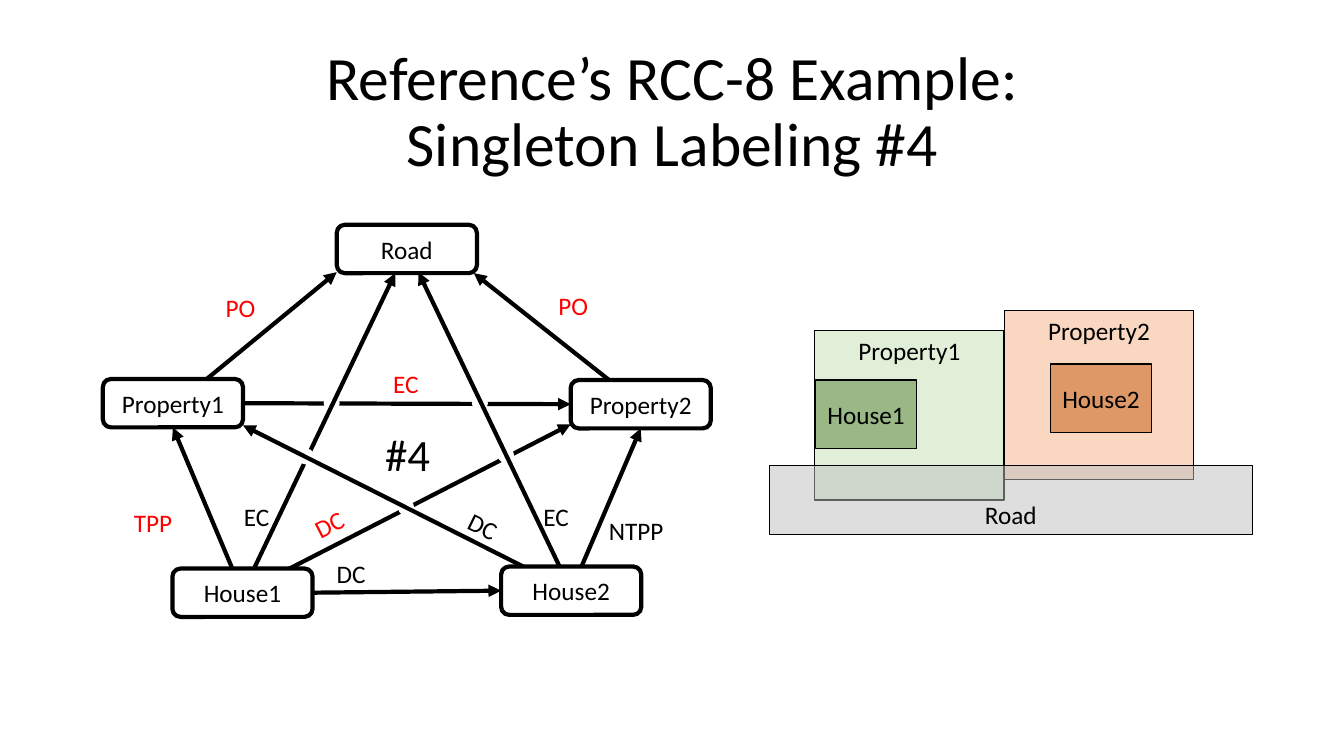
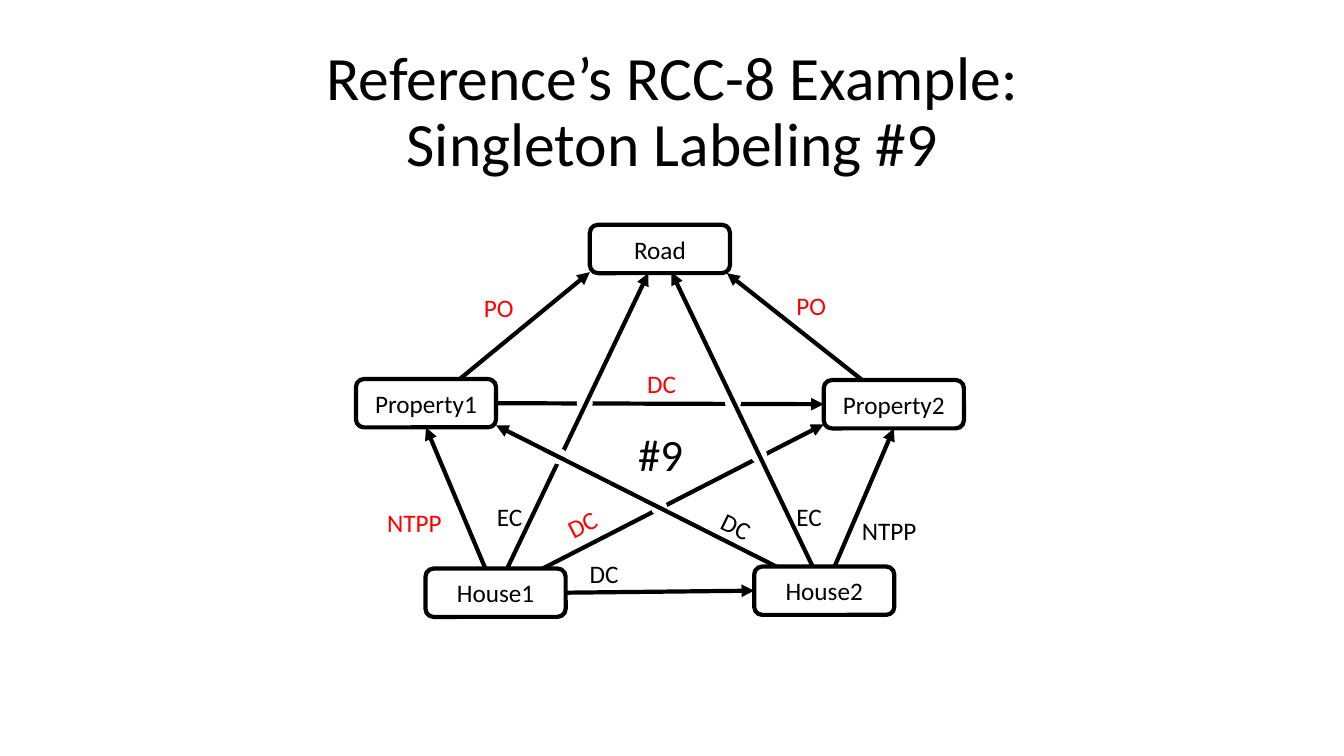
from lxml.etree import SubElement
from pptx import Presentation
from pptx.dml.color import RGBColor
from pptx.enum.shapes import MSO_CONNECTOR, MSO_SHAPE
from pptx.enum.text import MSO_ANCHOR, MSO_AUTO_SIZE, PP_ALIGN
from pptx.oxml.ns import qn
from pptx.util import Emu, Pt

PX = 9144  # 100 px to the inch
FONT = "Calibri"
COLORS = {
    "black": "000000", "white": "FFFFFF", "red": "FF0000",
    "green": "C5E0B4", "dark green": "548235",
    "orange": "F4B183", "dark orange": "C55A11", "gray": "BFBFBF",
}

# Constraint network: positions are those of the first slide
NODE_W, NODE_H, GAP = 139, 48, 16
NODES = {
    "Road": (334, 223), "Property1": (102, 376), "Property2": (566, 377),
    "House1": (171, 564), "House2": (497, 562),
}
# An end is a node (its centre), a (node, side) pair or a point
BACK_EDGES = [
    ("House1", (566, 421)),
    (("House1", 3), ("House2", 1)),
    ("House1", ("Property1", 2)),
    ("House2", ("Property2", 2)),
    (("Property1", 3), ("Property2", 1)),
    ((171, 404), (334, 270)),
    ((637, 403), (470, 271)),
]
BACK_GAPS = [(395, 496), (468, 392), (321, 392), (494, 444)]
MIDDLE_EDGES = [("House1", (392, 271))]
MIDDLE_GAPS = [(296, 445)]
FRONT_EDGES = [("House2", (415, 270)), ("House2", (241, 422))]

# Labels: text, left, top, colour, rotation
LABEL_W = {"DC": 49, "EC": 46, "PO": 50, "TPP": 58, "NTPP": 75}
SHARED_LABELS = [
    ("DC", 324, 549, "black", 0),
    ("DC", 302, 500, "red", -27.2),
    ("DC", 455, 502, "black", 26.1),
    ("EC", 232, 492, "black", 0),
    ("EC", 529, 492, "black", 0),
    ("NTPP", 594, 506, "black", 0),
]
SLIDES = [
    {"number": "#4", "dx": 0, "map": True, "labels": [
        ("TPP", 123, 498, "red", 0), ("EC", 380, 360, "red", 0),
        ("PO", 214, 285, "red", 0), ("PO", 544, 283, "red", 0)]},
    {"number": "#9", "dx": 251, "map": False, "labels": [
        ("NTPP", 123, 498, "red", 0), ("DC", 381, 360, "red", 0),
        ("PO", 219, 285, "red", 0), ("PO", 529, 283, "red", 0)]},
]
# Map: text, box, fill, anchor
REGIONS = [
    ("Property1", (808, 328, 188, 168), "green", MSO_ANCHOR.TOP),
    ("Property2", (996, 308, 188, 168), "orange", MSO_ANCHOR.TOP),
    ("House1", (809, 377, 100, 68), "dark green", MSO_ANCHOR.MIDDLE),
    ("House2", (1042, 361, 100, 68), "dark orange", MSO_ANCHOR.MIDDLE),
    ("Road", (763, 462, 479, 68), "gray", MSO_ANCHOR.BOTTOM),
]


def rgb(name):
    return RGBColor.from_string(COLORS[name])


def emu(*lengths):
    return [Emu(round(v * PX)) for v in lengths]


def write(sp, text, size=18, color="black", align=PP_ALIGN.CENTER,
          anchor=MSO_ANCHOR.MIDDLE):
    tf = sp.text_frame
    tf.vertical_anchor = anchor
    p = tf.paragraphs[0]
    p.text = text
    p.alignment = align
    p.font.name, p.font.size, p.font.color.rgb = FONT, Pt(size), rgb(color)
    return p


def add_shape(slide, kind, box, fill, line_pt=0, alpha=None):
    sp = slide.shapes.add_shape(kind, *emu(*box))
    sp.shadow.inherit = False
    sp.fill.solid()
    sp.fill.fore_color.rgb = rgb(fill)
    if alpha:
        clr = sp.element.spPr.find(qn("a:solidFill"))[0]
        SubElement(clr, qn("a:alpha"), val=str(alpha * 1000))
    if line_pt:
        sp.line.width = Pt(line_pt)
        sp.line.color.rgb = rgb("black")
    else:
        sp.line.fill.background()
    return sp


def add_text(slide, text, box, size=18, color="black"):
    sp = slide.shapes.add_textbox(*emu(*box))
    write(sp, text, size, color, PP_ALIGN.LEFT, MSO_ANCHOR.TOP)
    sp.text_frame.word_wrap = False
    sp.text_frame.auto_size = MSO_AUTO_SIZE.SHAPE_TO_FIT_TEXT
    return sp


def end_point(end, dx):
    """Return the point of an end; a glued end starts from its node's centre."""
    name = end if isinstance(end, str) else end[0]
    if name in NODES:
        x, y = NODES[name]
        return x + NODE_W / 2 + dx, y + NODE_H / 2
    return end[0] + dx, end[1]


def add_edges(slide, edges, nodes, dx):
    for start, end in edges:
        line = slide.shapes.add_connector(
            MSO_CONNECTOR.STRAIGHT, *emu(*end_point(start, dx), *end_point(end, dx)))
        for glue, spot in ((line.begin_connect, start), (line.end_connect, end)):
            if spot[0] in nodes:
                glue(nodes[spot[0]], spot[1])
        line.line.width = Pt(3)
        line.line.color.rgb = rgb("black")
        SubElement(line.line._get_or_add_ln(), qn("a:tailEnd"), type="triangle")
        SubElement(line.element.spPr, qn("a:effectLst"))


def add_gaps(slide, gaps, dx):
    for x, y in gaps:
        add_shape(slide, MSO_SHAPE.OVAL, (x + dx, y, GAP, GAP), "white")


def raise_nodes(nodes, *names):
    for name in names:
        el = nodes[name].element
        el.getparent().append(el)


def add_network(slide, number, dx, labels):
    nodes = {}
    for name, (x, y) in NODES.items():
        nodes[name] = add_shape(slide, MSO_SHAPE.ROUNDED_RECTANGLE,
                                (x + dx, y, NODE_W, NODE_H), "white", 3)
        write(nodes[name], name)

    # Each gap hides the edges below it where a later edge crosses
    add_edges(slide, BACK_EDGES, nodes, dx)
    raise_nodes(nodes, "Road", "Property1", "Property2")
    add_gaps(slide, BACK_GAPS, dx)
    add_edges(slide, MIDDLE_EDGES, nodes, dx)
    add_gaps(slide, MIDDLE_GAPS, dx)
    add_edges(slide, FRONT_EDGES, nodes, dx)
    raise_nodes(nodes, "House1", "House2")

    for text, x, y, color, angle in SHARED_LABELS + labels:
        sp = add_text(slide, text, (x + dx, y, LABEL_W[text], 40), color=color)
        sp.rotation = angle
    add_text(slide, number, (372 + dx, 418, 65, 64), 32)


def add_map(slide):
    for text, box, fill, anchor in REGIONS:
        sp = add_shape(slide, MSO_SHAPE.RECTANGLE, box, fill, 1, alpha=50)
        write(sp, text, anchor=anchor)


def add_title(slide, number):
    sp = slide.shapes.add_textbox(*emu(92, 40, 1150, 145))
    sp.text_frame.word_wrap = True
    p = write(sp, f"Reference’s RCC-8 Example:\vSingleton Labeling {number}", 44)
    p.line_spacing = 0.9


def main():
    prs = Presentation()
    prs.slide_width, prs.slide_height = emu(1333, 750)
    for content in SLIDES:
        slide = prs.slides.add_slide(prs.slide_layouts[6])
        add_title(slide, content["number"])
        add_network(slide, content["number"], content["dx"], content["labels"])
        if content["map"]:
            add_map(slide)
    prs.save("out.pptx")


if __name__ == "__main__":
    main()
